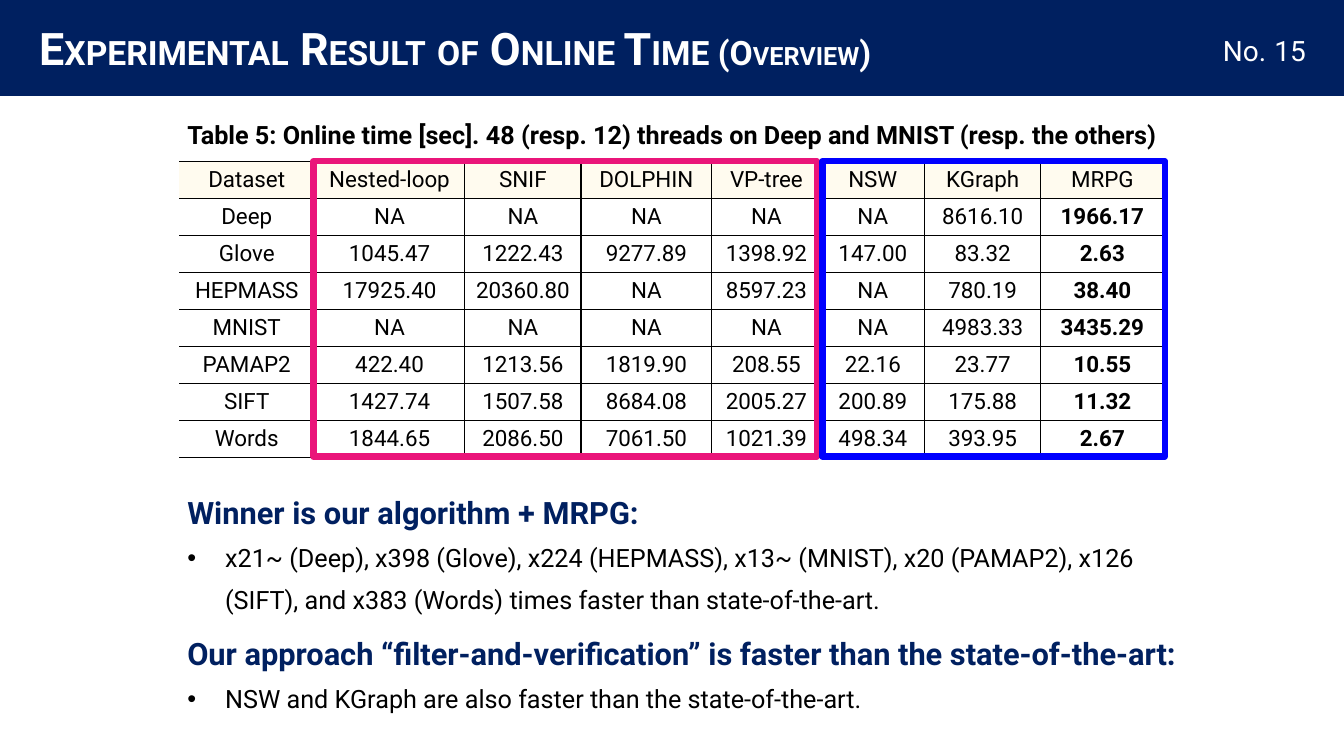
from dataclasses import dataclass

from lxml import etree
from pptx import Presentation
from pptx import util as u
from pptx.dml import color
from pptx.enum import shapes, text
from pptx.oxml import ns

Pt = u.Pt
ALIGN = text.PP_ALIGN
ANCHOR = text.MSO_ANCHOR


@dataclass(frozen=True)
class Theme:
    font: str = "Roboto"
    navy: str = "002060"
    white: str = "FFFFFF"
    black: str = "000000"
    cream: str = "FFFBEF"
    pink: str = "EA157A"
    blue: str = "0000FF"
    title: int = 32
    small_caps: int = 24
    subtitle: int = 18
    page: int = 20
    heading: int = 22
    body: int = 18
    cell: int = 16


def rgb(value):
    return color.RGBColor.from_string(value)


def add_xml(parent, tag, **attrs):
    return etree.SubElement(parent, ns.qn(tag), **attrs)


def write(p, content, *, font, size, fill, bold=False, align=ALIGN.LEFT, spacing=None):
    p.alignment = align
    if spacing is not None:
        p.line_spacing = spacing
    r = p.add_run()
    r.text = content
    r.font.name = font
    r.font.size = Pt(size)
    r.font.bold = bold
    r.font.color.rgb = rgb(fill)


class Deck:
    def __init__(self, prs, theme):
        self.theme = theme
        self.s = prs.slides.add_slide(prs.slide_layouts[5])

    def rect(self, x, y, w, h, line, weight, fill=None):
        sp = self.s.shapes.add_shape(
            shapes.MSO_SHAPE.RECTANGLE, Pt(x), Pt(y), Pt(w), Pt(h))
        sp.shadow.inherit = False
        if fill:
            sp.fill.solid()
            sp.fill.fore_color.rgb = rgb(fill)
        else:
            sp.fill.background()
        sp.line.color.rgb = rgb(line)
        sp.line.width = Pt(weight)
        return sp

    def title(self, parts, x, y, w, h):
        t = self.theme
        sp = self.s.shapes.title
        sp.left, sp.top, sp.width, sp.height = Pt(x), Pt(y), Pt(w), Pt(h)
        tf = sp.text_frame
        tf.auto_size = text.MSO_AUTO_SIZE.NONE
        tf.vertical_anchor = ANCHOR.MIDDLE
        tf.margin_left = Pt(28)
        tf.margin_top = tf.margin_right = tf.margin_bottom = Pt(3)
        for content, size in parts:
            write(tf.paragraphs[0], content, font=t.font, size=size,
                  fill=t.white, bold=True, spacing=0.9)

    def frame(self, x, y, w, h, margin=None):
        tf = self.s.shapes.add_textbox(Pt(x), Pt(y), Pt(w), Pt(h)).text_frame
        tf.word_wrap = True
        if margin is not None:
            tf.margin_left = tf.margin_right = Pt(margin)
            tf.margin_top = tf.margin_bottom = Pt(margin)
        return tf

    def label(self, content, x, y, w, h, margin=None, **style):
        p = self.frame(x, y, w, h, margin).paragraphs[0]
        write(p, content, font=self.theme.font, **style)

    def finding(self, heading, bullet, x, y, w, h):
        t = self.theme
        tf = self.frame(x, y, w, h)
        write(tf.paragraphs[0], heading, font=t.font, size=t.heading,
              fill=t.navy, bold=True, spacing=Pt(30))
        p = tf.add_paragraph()
        write(p, bullet, font=t.font, size=t.body, fill=t.black, spacing=Pt(30))
        pPr = p._p.get_or_add_pPr()
        pPr.set("marL", str(Pt(27)))
        pPr.set("indent", str(-Pt(27)))
        add_xml(pPr, "a:buFont", typeface="Arial")
        add_xml(pPr, "a:buChar", char="•")

    def borders(self, cell, hidden):
        tcPr = cell._tc.get_or_add_tcPr()
        for side in "LRTB":
            ln = add_xml(tcPr, f"a:ln{side}", w=str(Pt(1)))
            if side == hidden:
                add_xml(ln, "a:noFill")
            else:
                add_xml(add_xml(ln, "a:solidFill"), "a:srgbClr", val=self.theme.black)

    def table(self, rows, x, y, widths, row_height):
        t = self.theme
        last = len(widths) - 1
        tbl = self.s.shapes.add_table(
            len(rows), len(widths), Pt(x), Pt(y),
            Pt(sum(widths)), Pt(row_height * len(rows))).table
        tbl.first_row = tbl.horz_banding = False
        for col, width in zip(tbl.columns, widths):
            col.width = Pt(width)
        for i, values in enumerate(rows):
            tbl.rows[i].height = Pt(row_height)
            for j, value in enumerate(values):
                cell = tbl.cell(i, j)
                cell.vertical_anchor = ANCHOR.MIDDLE
                write(cell.text_frame.paragraphs[0], value, font=t.font, size=t.cell,
                      fill=t.black, bold=i > 0 and j == last, align=ALIGN.CENTER)
                self.borders(cell, {0: "L", last: "R"}.get(j))
                if i == 0:
                    cell.fill.solid()
                    cell.fill.fore_color.rgb = rgb(t.cream)
                else:
                    cell.fill.background()


ONLINE_TIMES = """
Dataset Nested-loop SNIF DOLPHIN VP-tree NSW KGraph MRPG
Deep NA NA NA NA NA 8616.10 1966.17
Glove 1045.47 1222.43 9277.89 1398.92 147.00 83.32 2.63
HEPMASS 17925.40 20360.80 NA 8597.23 NA 780.19 38.40
MNIST NA NA NA NA NA 4983.33 3435.29
PAMAP2 422.40 1213.56 1819.90 208.55 22.16 23.77 10.55
SIFT 1427.74 1507.58 8684.08 2005.27 200.89 175.88 11.32
Words 1844.65 2086.50 7061.50 1021.39 498.34 393.95 2.67
"""

prs = Presentation()
prs.slide_width, prs.slide_height = Pt(960), Pt(540)
theme = Theme()
deck = Deck(prs, theme)

band = deck.rect(0, 0, 960, 68, theme.navy, 1, fill=theme.navy)
deck.s.shapes.title.element.addprevious(band.element)
big, small = theme.title, theme.small_caps
deck.title([("E", big), ("XPERIMENTAL", small), (" R", big), ("ESULT", small),
            (" ", big), ("OF", small), (" O", big), ("NLINE ", small), ("T", big),
            ("IME (O", small), ("VERVIEW", theme.subtitle), (")", small)],
           0, 6.5, 960, 60)
page = dict(size=theme.page, fill=theme.white, margin=0)
deck.label("No.", 873.5, 24, 35, 24, **page)
deck.label("15", 898, 24, 47, 24, align=ALIGN.CENTER, **page)

deck.label("Table 5: Online time [sec]. 48 (resp. 12) threads on Deep and MNIST "
           "(resp. the others)", 109.5, 82, 741, 29, size=theme.body,
           fill=theme.black, bold=True, align=ALIGN.CENTER)
deck.table([line.split() for line in ONLINE_TIMES.strip().splitlines()],
           128, 115.2, [96.5, 107.5, 83, 93.5, 78, 74, 83, 88], 25.2)
deck.rect(224, 115.2, 359.5, 211, theme.pink, 4.5)
deck.rect(587.5, 115.2, 244.5, 211, theme.blue, 4.5)

deck.finding("Winner is our algorithm + MRPG:",
             "x21~ (Deep), x398 (Glove), x224 (HEPMASS), x13~ (MNIST), x20 (PAMAP2), "
             "x126 (SIFT), and x383 (Words) times faster than state-of-the-art.",
             126.7, 345.6, 744, 95)
deck.finding("Our approach “filter-and-verification” is faster than the "
             "state-of-the-art:",
             "NSW and KGraph are also faster than the state-of-the-art.",
             126.7, 446.4, 771, 64)

prs.save("out.pptx")
